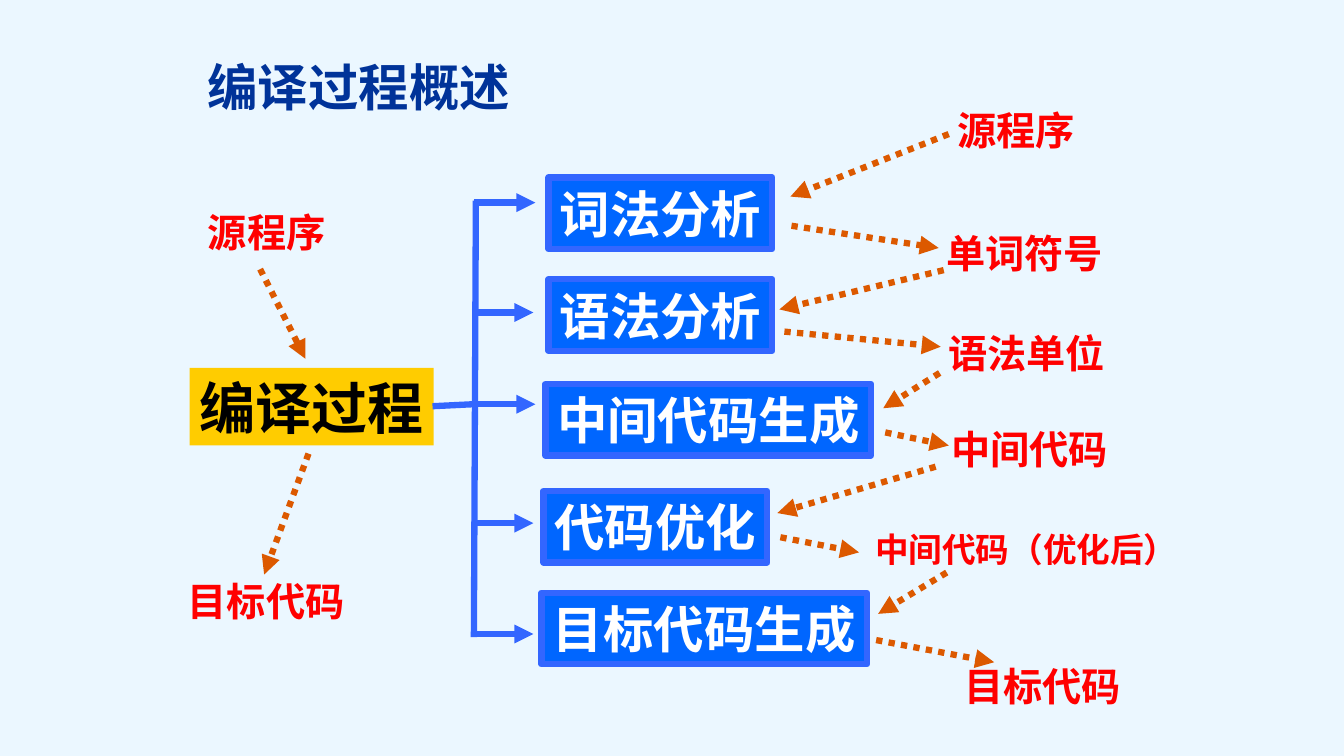
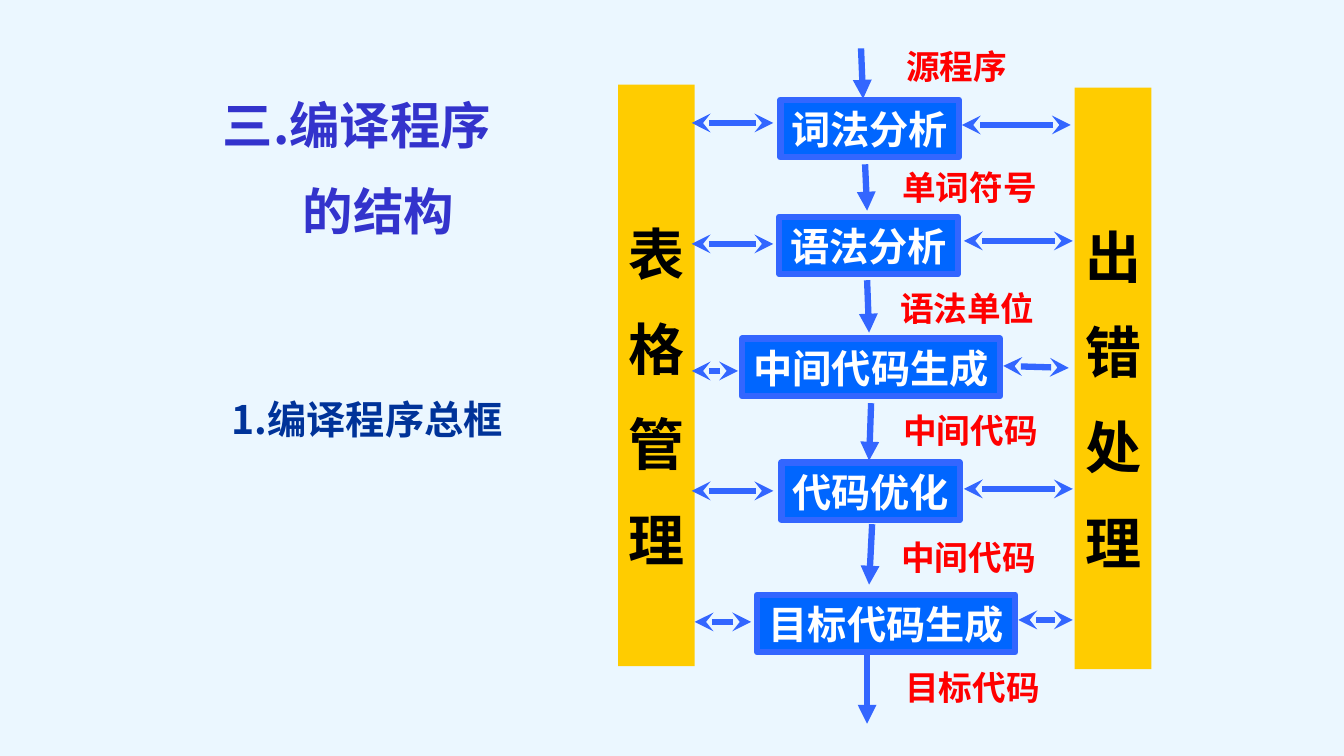
from lxml import etree
from pptx import Presentation
from pptx import util as u
from pptx.dml.color import RGBColor
from pptx.enum import dml, shapes, text
from pptx.oxml.ns import qn

PX = 9144
FONT = "Noto Sans CJK SC"
PALE = RGBColor(0xEB, 0xF7, 0xFF)
NAVY = RGBColor(0x00, 0x33, 0x99)
INDIGO = RGBColor(0x33, 0x33, 0xCC)
YELLOW = RGBColor(0xFF, 0xCC, 0x00)
BLUE = RGBColor(0x00, 0x66, 0xFF)
EDGE = RGBColor(0x33, 0x66, 0xFF)
RED = RGBColor(0xFF, 0x00, 0x00)
ORANGE = RGBColor(0xDC, 0x59, 0x00)
BLACK = RGBColor(0x00, 0x00, 0x00)
WHITE = RGBColor(0xFF, 0xFF, 0xFF)
LEFT, CENTER = text.PP_ALIGN.LEFT, text.PP_ALIGN.CENTER


def add_text(s, box, words, size, color, fill=None, edge=None,
             align=CENTER, pitch=None, inset=5):
    x, y, w, h = [v * PX for v in box]
    if fill is None:
        sp = s.shapes.add_textbox(x, y, w, h)
    else:
        sp = s.shapes.add_shape(shapes.MSO_SHAPE.RECTANGLE, x, y, w, h)
        sp.shadow.inherit = False
        sp.fill.solid()
        sp.fill.fore_color.rgb = fill
        if edge is None:
            sp.line.fill.background()
        else:
            sp.line.color.rgb = edge
            sp.line.width = u.Pt(4.5)
    tf = sp.text_frame
    tf.text = words
    tf.word_wrap = align == LEFT
    tf.margin_top = inset * PX
    tf.vertical_anchor = text.MSO_ANCHOR.TOP if pitch else text.MSO_ANCHOR.MIDDLE
    for p in tf.paragraphs:
        p.alignment = align
        if pitch:
            p.line_spacing = u.Pt(pitch)
        for r in p.runs:
            r.font.name = FONT
            r.font.size = u.Pt(size)
            r.font.bold = True
            r.font.color.rgb = color
            ea = etree.SubElement(r.font._element, qn("a:ea"))
            ea.set("typeface", FONT)
    return sp


def add_line(s, ends, color=EDGE, head=None, tail=None, dash=None):
    cx = s.shapes.add_connector(shapes.MSO_CONNECTOR.STRAIGHT, *[v * PX for v in ends])
    cx.line.color.rgb = color
    cx.line.width = u.Pt(4.5)
    if dash:
        cx.line.dash_style = dash
    ln = cx.line._get_or_add_ln()
    for tag, kind in (("a:headEnd", head), ("a:tailEnd", tail)):
        if kind:
            etree.SubElement(ln, qn(tag)).set("type", kind)
    etree.SubElement(cx._element.spPr, qn("a:effectLst"))


prs = Presentation()
prs.slide_width, prs.slide_height = 1333 * PX, 750 * PX
bg = prs.slide_master.background.fill
bg.solid()
bg.fore_color.rgb = PALE
blank = prs.slide_layouts[6]

STAGES = ["词法分析", "语法分析", "中间代码生成", "代码优化", "目标代码生成"]

s = prs.slides.add_slide(blank)
add_text(s, (196, 50, 340, 71), "编译过程概述", 36, NAVY, align=LEFT)
add_text(s, (188, 365, 242, 77), "编译过程", 40, BLACK, YELLOW)

for stage, (x, y) in zip(STAGES, [(544, 176), (544, 277), (541, 381), (539, 487), (537, 588)]):
    w = 222 if len(stage) == 4 else 323
    add_text(s, (x, y, w, 71), stage, 36, WHITE, BLUE, EDGE)

add_line(s, (429, 403, 470, 401))
add_line(s, (470, 632, 472, 199))
for x, y in [(470, 201), (468, 310), (470, 401), (468, 519), (468, 629)]:
    add_line(s, (x, y, x + 61, y), tail="triangle")

for words, x, y in [("源程序", 939, 100), ("单词符号", 928, 222), ("语法单位", 930, 322),
                    ("中间代码", 933, 417), ("目标代码", 946, 652),
                    ("源程序", 196, 202), ("目标代码", 176, 568)]:
    add_text(s, (x, y, 137 if len(words) == 3 else 176, 57), words, 28, RED)
add_text(s, (858, 520, 320, 50), "中间代码（优化后）", 24, RED)

for ends in [(258, 267, 303, 356), (306, 450, 262, 570),
             (941, 133, 784, 195), (785, 224, 931, 246),
             (936, 268, 773, 307), (778, 329, 933, 344),
             (932, 370, 876, 405), (878, 429, 941, 442),
             (928, 463, 771, 509), (774, 533, 852, 548),
             (939, 568, 871, 609), (869, 635, 986, 657)]:
    add_line(s, ends, ORANGE, tail="triangle", dash=dml.MSO_LINE.ROUND_DOT)

s = prs.slides.add_slide(blank)
sp = add_text(s, (192, 64, 324, 188), "三.编译程序\n的结构", 36, INDIGO, pitch=61)
sp.text_frame.paragraphs[1]._p.get_or_add_pPr().set("marL", str(43 * PX))
add_text(s, (220, 387, 305, 57), "1.编译程序总框", 28, NAVY, align=LEFT)

for words, x, y in [("表格管理", 613, 84), ("出错处理", 1066, 87)]:
    add_text(s, (x, y, 76, 577), "\n".join(words), 40, BLACK, YELLOW, pitch=68, inset=106)

for stage, (x, y) in zip(STAGES, [(774, 99), (773, 215), (736, 336), (775, 459), (751, 590)]):
    w = 177 if len(stage) == 4 else 256
    add_text(s, (x, y, w, 57), stage, 28, WHITE, BLUE, EDGE)

for words, x, y in [("源程序", 889, 41), ("单词符号", 885, 161), ("语法单位", 883, 281),
                    ("中间代码", 886, 402), ("中间代码", 884, 528), ("目标代码", 888, 657)]:
    add_text(s, (x, y, 120 if len(words) == 3 else 153, 50), words, 24, RED)

for ends in [(767, 122, 686, 122), (767, 242, 686, 242), (732, 368, 686, 368),
             (767, 487, 686, 487), (745, 617, 689, 617),
             (1062, 124, 954, 124), (1064, 239, 956, 239), (1060, 365, 995, 363),
             (1064, 485, 956, 485), (1064, 615, 1010, 615)]:
    add_line(s, ends, head="stealth", tail="stealth")

for ends in [(854, 48, 856, 98), (858, 163, 860, 209), (860, 278, 862, 330),
             (864, 400, 862, 457), (865, 520, 862, 580), (860, 650, 860, 718)]:
    add_line(s, ends, tail="triangle")

prs.save("out.pptx")
